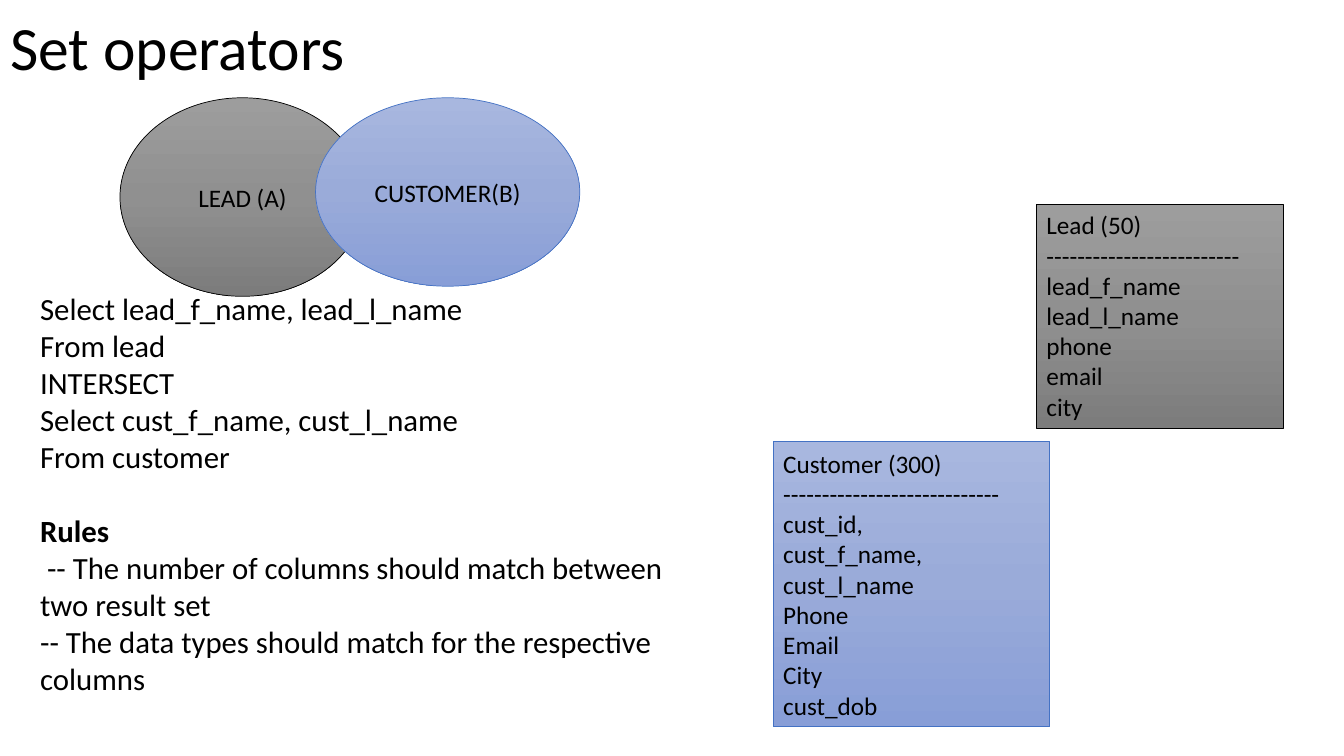
import copy
from dataclasses import dataclass

import pptx
import pptx.dml.color
import pptx.enum.shapes
import pptx.enum.text
import pptx.oxml.ns
import pptx.util

Inches = pptx.util.Inches
Pt = pptx.util.Pt
RGBColor = pptx.dml.color.RGBColor
MSO_SHAPE = pptx.enum.shapes.MSO_SHAPE
MSO_ANCHOR = pptx.enum.text.MSO_ANCHOR
PP_ALIGN = pptx.enum.text.PP_ALIGN


@dataclass(frozen=True)
class Palette:
    """A vertical three-stop gradient and its outline colour."""
    stops: tuple[str, str, str]
    line: str


@dataclass(frozen=True)
class Theme:
    font: str = "Calibri"
    text: str = "000000"
    title_size: float = 44
    body_size: float = 22
    label_size: float = 18
    outline: float = 0.5
    lead: Palette = Palette(("9D9D9D", "909090", "7C7C7C"), "000000")
    customer: Palette = Palette(("A8B7DF", "9AABD9", "889ED7"), "4472C4")


THEME = Theme()


@dataclass(frozen=True)
class Place:
    left: float
    top: float
    width: float
    height: float

    def lengths(self) -> tuple:
        return tuple(map(Inches, (self.left, self.top, self.width, self.height)))


@dataclass(frozen=True)
class Panel:
    """A gradient shape: a set in the diagram or a table's column list."""
    kind: MSO_SHAPE
    place: Place
    palette: Palette
    lines: tuple[str, ...]
    align: PP_ALIGN = PP_ALIGN.LEFT
    anchor: MSO_ANCHOR = MSO_ANCHOR.MIDDLE


PANELS = (
    Panel(MSO_SHAPE.OVAL, Place(1.19, 0.97, 2.43, 1.97), THEME.lead,
          ("LEAD (A)",), align=PP_ALIGN.CENTER),
    Panel(MSO_SHAPE.OVAL, Place(3.13, 0.97, 2.62, 1.87), THEME.customer,
          ("CUSTOMER(B)",), align=PP_ALIGN.CENTER),
    Panel(MSO_SHAPE.RECTANGLE, Place(10.28, 2.03, 2.45, 2.22), THEME.lead,
          ("Lead (50)", "-" * 25, "lead_f_name", "lead_l_name",
           "phone", "email", "city"), anchor=MSO_ANCHOR.TOP),
    Panel(MSO_SHAPE.RECTANGLE, Place(7.67, 4.38, 2.74, 2.83), THEME.customer,
          ("Customer (300)", "-" * 28, "cust_id,", "cust_f_name,", "cust_l_name",
           "Phone", "Email", "City", "cust_dob")),
)

QUERY = (
    "Select lead_f_name, lead_l_name",
    "From lead",
    "INTERSECT",
    "Select cust_f_name, cust_l_name",
    "From customer",
)
RULES_HEADING = "Rules"
RULES = (
    " -- The number of columns should match between two result set",
    "-- The data types should match for the respective columns",
)


def write(para, text: str, *, size: float, bold: bool = False,
          align: PP_ALIGN = PP_ALIGN.LEFT, before: float = 0) -> None:
    para.alignment = align
    para.space_before = Pt(before)
    span = para.add_run()
    span.text = text
    span.font.name = THEME.font
    span.font.size = Pt(size)
    span.font.bold = bold
    span.font.color.rgb = RGBColor.from_string(THEME.text)


def write_lines(frame, lines: tuple[str, ...], **style) -> None:
    """Fill the empty first paragraph, then add one paragraph per line."""
    for line in lines:
        para = frame.paragraphs[0]
        if para.runs:
            para = frame.add_paragraph()
        write(para, line, **style)


def paint(shape, palette: Palette) -> None:
    shape.shadow.inherit = False
    shape.fill.gradient()
    shape.fill.gradient_angle = 270
    first_stop = shape._element.spPr.find(".//" + pptx.oxml.ns.qn("a:gs"))
    first_stop.addnext(copy.deepcopy(first_stop))
    for index, (stop, color) in enumerate(zip(shape.fill.gradient_stops, palette.stops)):
        stop.position = index / 2
        stop.color.rgb = RGBColor.from_string(color)
    shape.line.color.rgb = RGBColor.from_string(palette.line)
    shape.line.width = Pt(THEME.outline)


def add_panel(page, panel: Panel) -> None:
    shape = page.shapes.add_shape(panel.kind, *panel.place.lengths())
    paint(shape, panel.palette)
    frame = shape.text_frame
    frame.word_wrap = True
    frame.vertical_anchor = panel.anchor
    write_lines(frame, panel.lines, size=THEME.label_size, align=panel.align)


def add_title(page, text: str, place: Place) -> None:
    box = page.shapes.title
    box.left, box.top, box.width, box.height = place.lengths()
    box.text_frame.vertical_anchor = MSO_ANCHOR.MIDDLE
    para = box.text_frame.paragraphs[0]
    para.line_spacing = 0.9
    write(para, text, size=THEME.title_size)


def add_query(page, place: Place) -> None:
    """Add the INTERSECT query and, one line below it, the rules."""
    box = page.shapes.add_textbox(*place.lengths())
    frame = box.text_frame
    frame.word_wrap = True
    size = THEME.body_size
    write_lines(frame, QUERY, size=size)
    write(frame.add_paragraph(), RULES_HEADING, size=size, bold=True, before=1.2 * size)
    write_lines(frame, RULES, size=size)


def main() -> None:
    deck = pptx.Presentation()
    deck.slide_width, deck.slide_height = Inches(13.33), Inches(7.5)
    page = deck.slides.add_slide(deck.slide_layouts.get_by_name("Title Only"))
    add_title(page, "Set operators", Place(0, 0.01, 13.32, 0.99))
    for panel in PANELS:
        add_panel(page, panel)
    add_query(page, Place(0.3, 2.83, 6.9, 4.54))
    deck.save("out.pptx")


if __name__ == "__main__":
    main()
